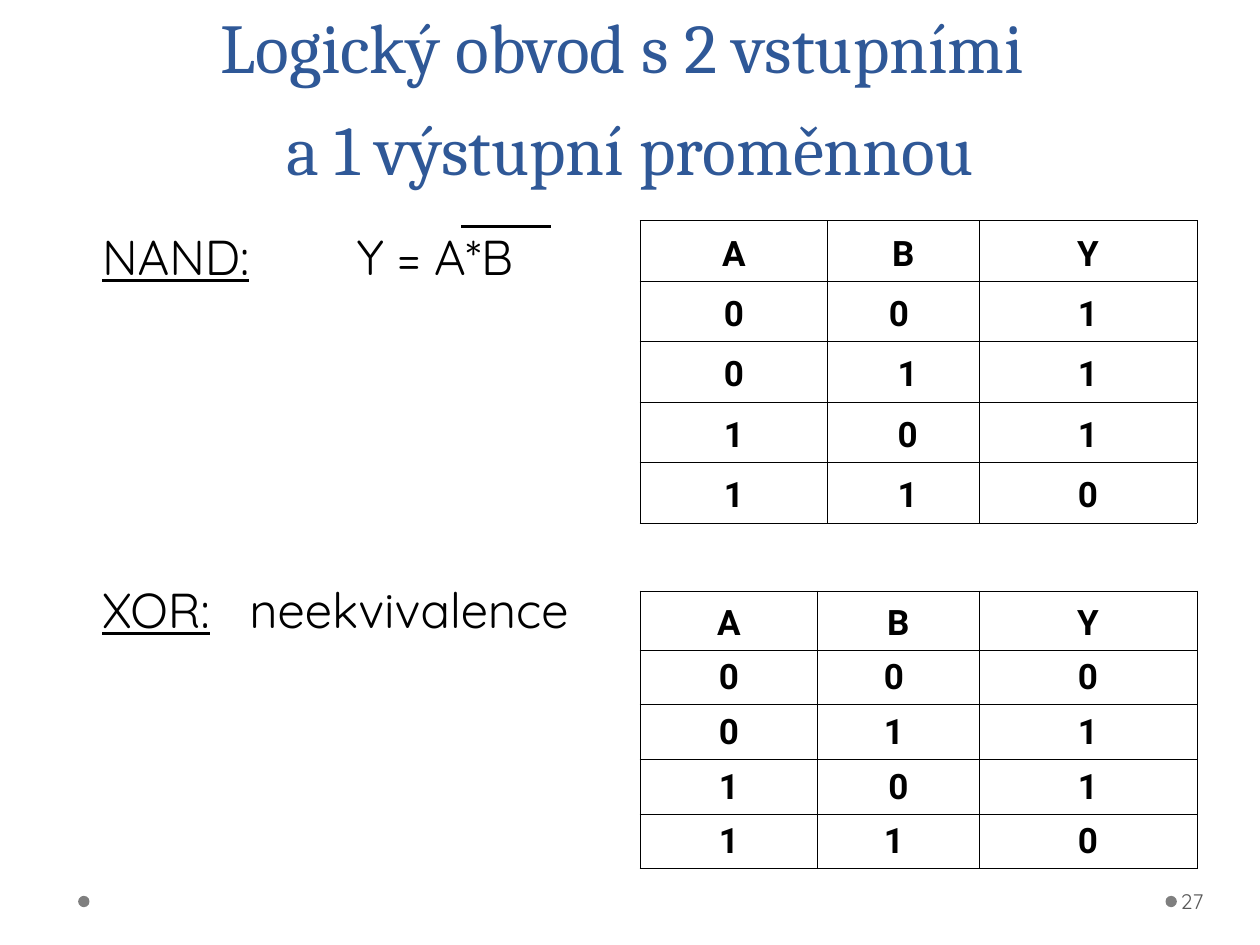
from lxml import etree
from pptx import Presentation
from pptx.dml.color import RGBColor
from pptx.enum.shapes import MSO_CONNECTOR, MSO_SHAPE
from pptx.enum.text import MSO_ANCHOR, PP_ALIGN
from pptx.oxml.ns import qn
from pptx.util import Inches, Pt

LEFT, CENTER = PP_ALIGN.LEFT, PP_ALIGN.CENTER
TOP, MIDDLE, BOTTOM = MSO_ANCHOR.TOP, MSO_ANCHOR.MIDDLE, MSO_ANCHOR.BOTTOM
OVAL, STRAIGHT = MSO_SHAPE.OVAL, MSO_CONNECTOR.STRAIGHT

BLUE = RGBColor(0x2F, 0x58, 0x97)
BLACK = RGBColor(0, 0, 0)
GREY = RGBColor(0x7F, 0x7F, 0x7F)
DARK = RGBColor(0x59, 0x59, 0x59)

WIDTH, HEIGHT = 10, 7.5
EDGE = 0.5
COL_W = 4.42
RIGHT_X = WIDTH - EDGE - COL_W
BODY_Y = 1.75
DOT = 0.09

TITLE = "Logický obvod s 2 vstupními \na 1 výstupní proměnnou"
# name of the gate, its rule, tab stop of the rule
GATES = [
    ("NAND:", "Y = A*B", 2.02),
    ("XOR:", "neekvivalence", 1.17),
]
# top, column widths, row heights, cells
TABLES = [
    (BODY_Y, (1.49, 1.2, 1.73), (0.48,) * 5,
     [("A", "B", "Y"), ("0", "0 ", "1"), ("0", " 1", "1"),
      ("1", " 0", "1"), ("1", " 1", "0")]),
    (4.69, (1.41, 1.28, 1.73), (0.47,) + (0.43,) * 4,
     [("A", "B", "Y"), ("0", "0 ", "0"), ("0", "1 ", "1"),
      ("1", "0", "1"), ("1", "1 ", "0")]),
]


def write(para, text, font="Quicksand", size=28, color=BLACK, bold=False,
          under=False, align=LEFT):
    """Add text to a paragraph; a newline becomes a line break."""
    para.alignment = align
    for i, line in enumerate(text.split("\n")):
        if i:
            para.add_line_break()
        run = para.add_run()
        run.text = line
        run.font.name = font
        run.font.size = Pt(size)
        run.font.color.rgb = color
        run.font.bold = bold
        run.font.underline = under


def add_box(slide, x, y, w, h, anchor=TOP, inset=0.1):
    box = slide.shapes.add_textbox(Inches(x), Inches(y), Inches(w), Inches(h))
    frame = box.text_frame
    frame.word_wrap = True
    frame.vertical_anchor = anchor
    frame.margin_left = Inches(inset)
    return frame


def set_tab(para, pos):
    props = para._p.get_or_add_pPr()
    tabs = etree.SubElement(props, qn("a:tabLst"))
    etree.SubElement(tabs, qn("a:tab"), pos=str(Inches(pos)), algn="l")


def set_border(cell, width=0.45):
    props = cell._tc.get_or_add_tcPr()
    for i, side in enumerate(("a:lnL", "a:lnR", "a:lnT", "a:lnB")):
        line = etree.Element(qn(side), w=str(Pt(width)))
        fill = etree.SubElement(line, qn("a:solidFill"))
        etree.SubElement(fill, qn("a:srgbClr"), val=str(BLACK))
        props.insert(i, line)


def add_truth(slide, top, widths, heights, rows):
    shape = slide.shapes.add_table(
        len(rows), len(widths), Inches(RIGHT_X), Inches(top),
        Inches(COL_W), Inches(sum(heights)))
    table = shape.table
    table.first_row = table.horz_banding = False
    for col, width in zip(table.columns, widths):
        col.width = Inches(width)
    for row, height, texts in zip(table.rows, heights, rows):
        row.height = Inches(height)
        for cell, text in zip(row.cells, texts):
            cell.vertical_anchor = BOTTOM
            cell.fill.background()
            set_border(cell)
            write(cell.text_frame.paragraphs[0], text, font="Roboto",
                  size=20, bold=True, align=CENTER)


def add_gates(slide):
    frame = add_box(slide, EDGE, BODY_Y, COL_W, 4.95, inset=0.31)
    for i, (name, rule, stop) in enumerate(GATES):
        para = frame.add_paragraph() if i else frame.paragraphs[0]
        if i:
            para.space_before = Pt(168)
        set_tab(para, stop)
        write(para, name, under=True)
        write(para, "\t" + rule)


def add_dot(slide, x):
    dot = slide.shapes.add_shape(OVAL, Inches(x), Inches(7.11),
                                 Inches(DOT), Inches(DOT))
    dot.shadow.inherit = False
    dot.fill.solid()
    dot.fill.fore_color.rgb = GREY
    dot.line.fill.background()


def add_bar(slide, x1, x2, y):
    bar = slide.shapes.add_connector(STRAIGHT, Inches(x1), Inches(y),
                                     Inches(x2), Inches(y))
    bar.line.color.rgb = BLACK
    bar.line.width = Pt(1.5)
    etree.SubElement(bar._element.spPr, qn("a:effectLst"))


def main():
    deck = Presentation()
    deck.slide_width, deck.slide_height = Inches(WIDTH), Inches(HEIGHT)
    slide = deck.slides.add_slide(deck.slide_layouts[6])

    for x in (9.25, 0.62):
        add_dot(slide, x)

    title = add_box(slide, EDGE, 0, WIDTH - 2 * EDGE, 1.55, anchor=BOTTOM)
    title.paragraphs[0].line_spacing = Pt(58)
    write(title.paragraphs[0], TITLE, font="Cambria", size=40, color=BLUE,
          align=CENTER)

    add_gates(slide)
    for table in TABLES:
        add_truth(slide, *table)
    add_bar(slide, 3.66, 4.37, 1.8)

    number = add_box(slide, 9.34, 6.95, 0.61, 0.4, anchor=MIDDLE, inset=0.03)
    write(number.paragraphs[0], "27", size=12, color=DARK)
    deck.save("out.pptx")


if __name__ == "__main__":
    main()
